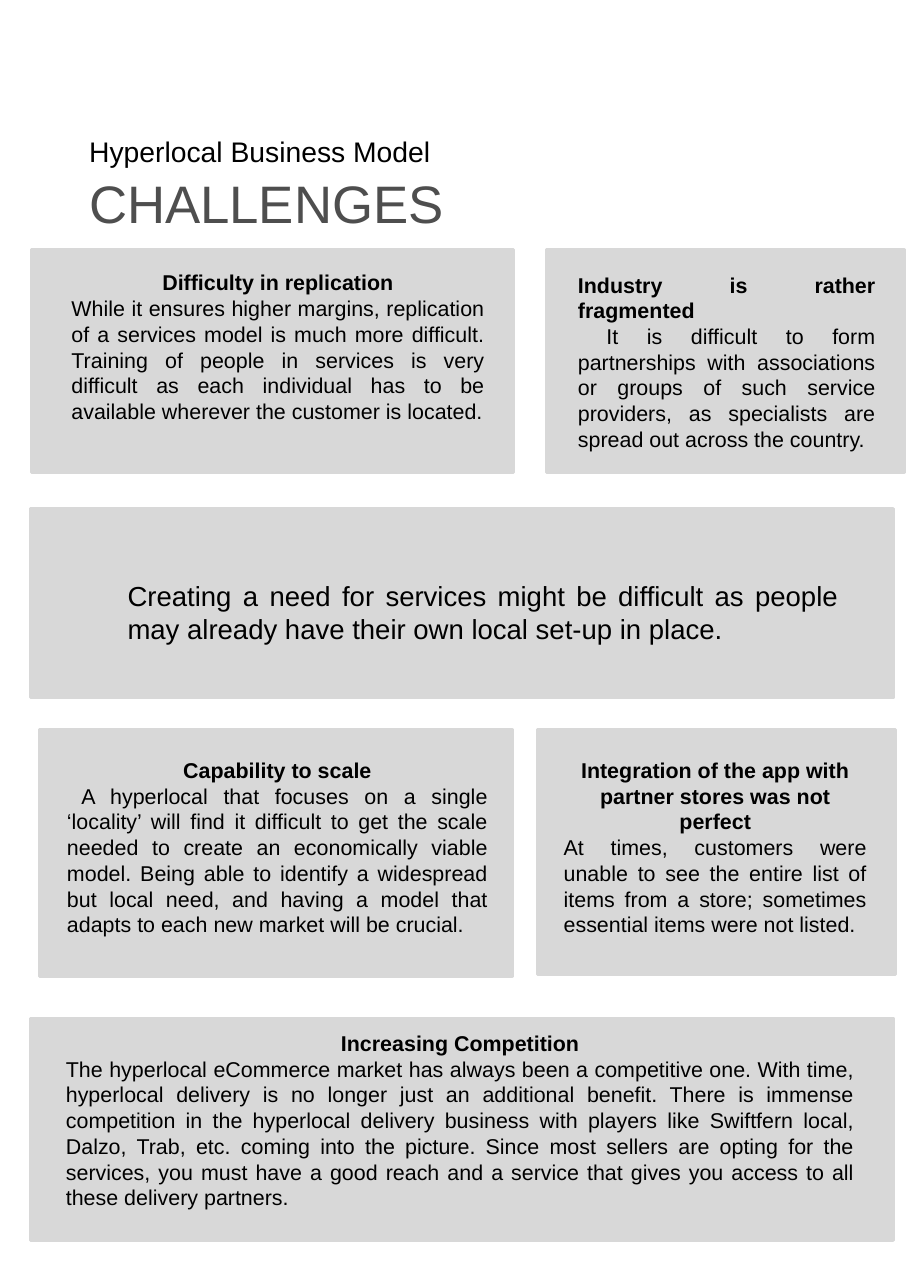
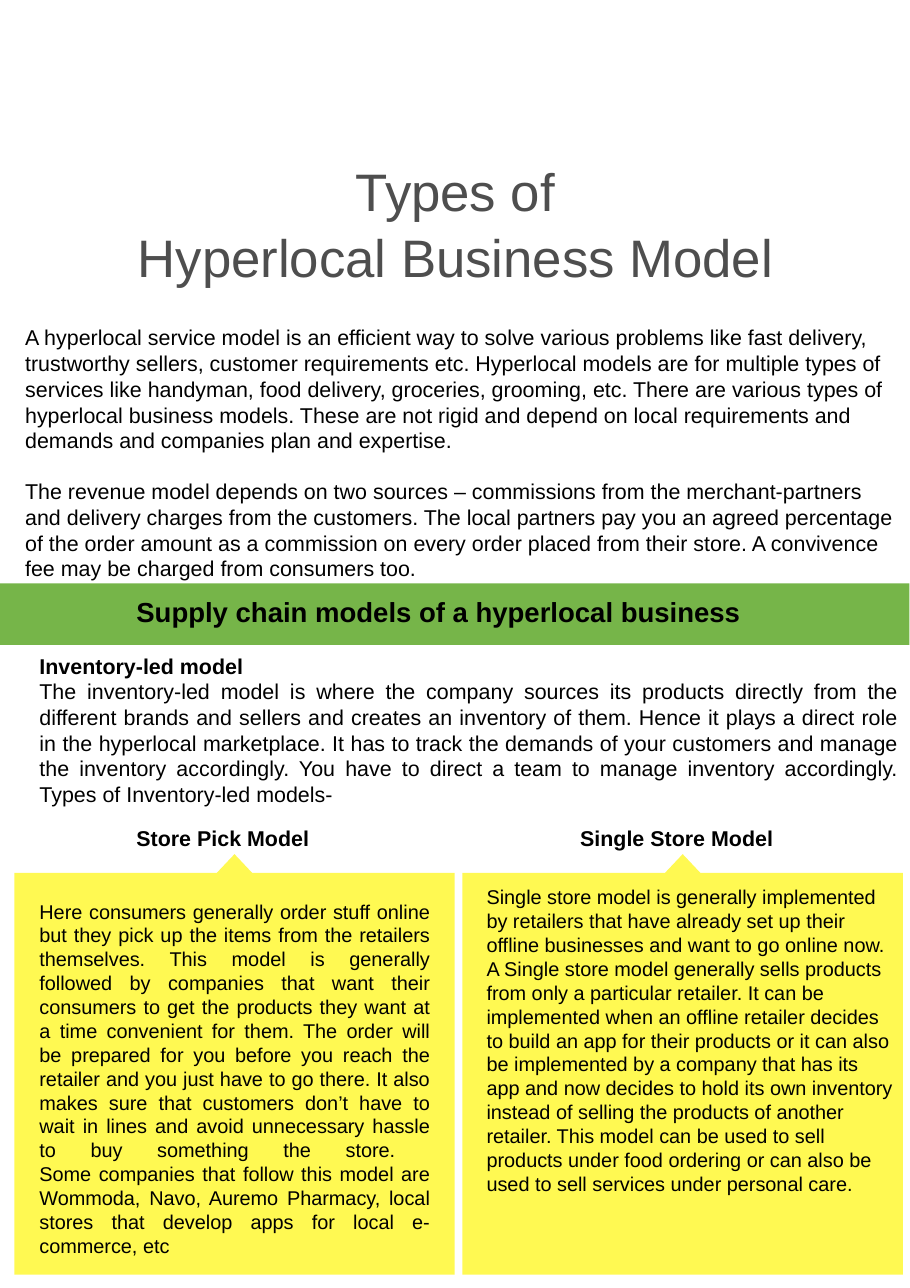
from pptx import Presentation
from pptx import util as u
from pptx.dml.color import RGBColor
from pptx.enum import shapes, text

BLACK = RGBColor(0x00, 0x00, 0x00)
TITLE_GREY = RGBColor(0x4E, 0x4E, 0x4E)
PANEL_GREY = RGBColor(0xD8, 0xD8, 0xD8)
GREEN = RGBColor(0x76, 0xB5, 0x49)
YELLOW = RGBColor(0xFF, 0xF9, 0x52)

LEFT, CENTER, JUSTIFY = (text.PP_ALIGN.LEFT, text.PP_ALIGN.CENTER,
                         text.PP_ALIGN.JUSTIFY)

# Text styles
BODY = dict(name="Arial", size=u.Pt(14), bold=False)
HEADING = dict(BODY, bold=True)
SMALL = dict(BODY, size=u.Pt(13))
STATEMENT = dict(BODY, size=u.Pt(18))
BAND = dict(STATEMENT, bold=True)
SUBTITLE = dict(BODY, size=u.Pt(18.5))
TITLE = dict(BODY, size=u.Pt(34.5))

PAGE_WIDTH, PAGE_HEIGHT = u.Pt(595), u.Pt(842.5)
BODY_INSETS = (0.1, 0.05, 0.1, 0.05)
TITLE_INSETS = (0.01, 0.02, 0, 0)
CARD_INDENT = 0.5

# Panel box, text box, heading alignment, heading, body
CARDS = [
    ((0.29, 2.27, 4.37, 2.02), (0.05, 2.4, 4.45, 1.51), CENTER,
     "Difficulty in replication",
     "While it ensures higher margins, replication of a services model is much "
     "more difficult. Training of people in services is very difficult as each "
     "individual has to be available wherever the customer is located."),
    ((4.96, 2.27, 3.25, 2.02), (4.65, 2.42, 3.4, 1.51), JUSTIFY,
     "Industry is rather fragmented",
     " It is difficult to form partnerships with associations or groups of such "
     "service providers, as specialists are spread out across the country."),
    ((0.36, 6.63, 4.29, 2.24), (0.01, 6.83, 4.52, 1.75), CENTER,
     "Capability to scale",
     " A hyperlocal that focuses on a single ‘locality’ will find it difficult "
     "to get the scale needed to create an economically viable model. Being able "
     "to identify a widespread but local need, and having a model that adapts to "
     "each new market will be crucial."),
    ((4.88, 6.63, 3.25, 2.22), (4.52, 6.83, 3.45, 1.75), CENTER,
     "Integration of the app with partner stores was not perfect",
     "At times, customers were unable to see the entire list of items from a "
     "store; sometimes essential items were not listed."),
    ((0.28, 9.25, 7.83, 2.02), (0, 9.31, 7.86, 1.75), CENTER,
     "Increasing Competition",
     "The hyperlocal eCommerce market has always been a competitive one. With "
     "time, hyperlocal delivery is no longer just an additional benefit. There "
     "is immense competition in the hyperlocal delivery business with players "
     "like Swiftfern local, Dalzo, Trab, etc. coming into the picture. Since most "
     "sellers are opting for the services, you must have a good reach and a "
     "service that gives you access to all these delivery partners."),
]

INTRO = [
    "A hyperlocal service model is an efficient way to solve various problems "
    "like fast delivery, trustworthy sellers, customer requirements etc. "
    "Hyperlocal models are for multiple types of services like handyman, food "
    "delivery, groceries, grooming, etc. There are various types of hyperlocal "
    "business models. These are not rigid and depend on local requirements and "
    "demands and companies plan and expertise.",
    "The revenue model depends on two sources – commissions from the "
    "merchant-partners and delivery charges from the customers. The local "
    "partners pay you an agreed percentage of the order amount as a commission "
    "on every order placed from their store. A convivence fee may be charged "
    "from consumers too.",
]

INVENTORY = (
    "The inventory-led model is where the company sources its products directly "
    "from the different brands and sellers and creates an inventory of them. "
    "Hence it plays a direct role in the hyperlocal marketplace. It has to track "
    "the demands of your customers and manage the inventory accordingly. You "
    "have to direct a team to manage inventory accordingly. Types of "
    "Inventory-led models-")

# Callout left, label left, label, text box, alignment, body
MODELS = [
    (0.13, 1.14, "Store Pick Model", (0.26, 8.12, 3.74, 3.4), JUSTIFY,
     "Here consumers generally order stuff online but they pick up the items "
     "from the retailers themselves. This model is generally followed by "
     "companies that want their consumers to get the products they want at a "
     "time convenient for them. The order will be prepared for you before you "
     "reach the retailer and you just have to go there. It also makes sure that "
     "customers don’t have to wait in lines and avoid unnecessary hassle to buy "
     "something the store. \vSome companies that follow this model are Wommoda, "
     "Navo, Auremo Pharmacy, local stores that develop apps for local "
     "e-commerce, etc"),
    (4.2, 5.17, "Single Store Model", (4.32, 7.99, 3.91, 3.2), LEFT,
     "Single store model is generally implemented by retailers that have already "
     "set up their offline businesses and want to go online now. A Single store "
     "model generally sells products from only a particular retailer. It can be "
     "implemented when an offline retailer decides to build an app for their "
     "products or it can also be implemented by a company that has its app and "
     "now decides to hold its own inventory instead of selling the products of "
     "another retailer. This model can be used to sell products under food "
     "ordering or can also be used to sell services under personal care."),
]


def inches(box):
    return [u.Inches(v) for v in box]


def paint(sp, color, line_width=0):
    sp.shadow.inherit = False
    sp.fill.solid()
    sp.fill.fore_color.rgb = color
    if line_width:
        sp.line.color.rgb = color
        sp.line.width = u.Pt(line_width)
    else:
        sp.line.fill.background()


def add_panel(s, box, color, line_width=0):
    sp = s.shapes.add_shape(shapes.MSO_SHAPE.RECTANGLE, *inches(box))
    paint(sp, color, line_width)


def add_text(s, box, paras, color=BLACK, insets=BODY_INSETS, spacing=1.0,
             indent=0, gap=0):
    """Each paragraph is (words, alignment, style)."""
    tf = s.shapes.add_textbox(*inches(box)).text_frame
    tf.word_wrap = True
    for side, value in zip(("left", "top", "right", "bottom"), inches(insets)):
        setattr(tf, f"margin_{side}", value)
    for i, (words, align, style) in enumerate(paras):
        p = tf.paragraphs[0] if i == 0 else tf.add_paragraph()
        p.alignment, p.line_spacing = align, spacing
        p.space_before = u.Pt(gap if i else 0)
        if indent:
            p._p.get_or_add_pPr().set("marL", str(u.Inches(indent)))
        for j, part in enumerate(words.split("\v")):
            if j:
                p.add_line_break()
            r = p.add_run()
            r.text = part
            for key, value in style.items():
                setattr(r.font, key, value)
            r.font.color.rgb = color


def add_title(s, box, words, align, spacing=1.0):
    add_text(s, box, [(words, align, TITLE)], TITLE_GREY, TITLE_INSETS, spacing)


def add_callout(s, left):
    """Box with a small pointer at the middle of its top edge."""
    tip, top, bottom, width, half = 7.76, 7.93, 11.58, 4, 0.16
    mid, right = left + width / 2, left + width
    points = [(mid + half, top), (right, top), (right, bottom),
              (left, bottom), (left, top), (mid - half, top)]
    fb = s.shapes.build_freeform(u.Inches(mid), u.Inches(tip))
    fb.add_line_segments([inches(pt) for pt in points], close=True)
    paint(fb.convert_to_shape(), YELLOW)


def challenges(s):
    add_text(s, (0.8, 1.2, 5, 0.33),
             [("Hyperlocal Business Model", LEFT, SUBTITLE)],
             insets=TITLE_INSETS)
    add_title(s, (0.8, 1.53, 5.96, 0.6), "CHALLENGES", LEFT)
    for panel, box, align, heading, body in CARDS:
        add_panel(s, panel, PANEL_GREY, 2)
        add_text(s, box, [(heading, align, HEADING), (body, JUSTIFY, BODY)],
                 indent=CARD_INDENT)
    # Wide statement
    add_panel(s, (0.28, 4.62, 7.83, 1.72), PANEL_GREY, 2)
    add_text(s, (0.56, 5.21, 7.15, 0.71),
             [("Creating a need for services might be difficult as people may "
               "already have their own local set-up in place.",
               JUSTIFY, STATEMENT)], indent=CARD_INDENT)


def model_types(s):
    add_title(s, (0, 1.41, 8.26, 1.18),
              "Types of\v Hyperlocal Business Model ", CENTER, 1.03)
    add_text(s, (0.13, 2.9, 8.13, 2.46), [(t, LEFT, BODY) for t in INTRO],
             gap=16.5)
    # Green band
    add_panel(s, (0, 5.3, 8.26, 0.56), GREEN)
    add_text(s, (1.14, 5.36, 5.98, 0.4),
             [("Supply chain models of a hyperlocal business", LEFT, BAND)])
    add_text(s, (0.26, 5.88, 8, 1.51),
             [("Inventory-led model", JUSTIFY, HEADING),
              (INVENTORY, JUSTIFY, BODY)])
    # Two models with callouts
    for left, label_left, label, box, align, body in MODELS:
        add_text(s, (label_left, 7.45, 2.4, 0.34), [(label, LEFT, HEADING)])
        add_callout(s, left)
        add_text(s, box, [(body, align, SMALL)])


def main():
    prs = Presentation()
    prs.slide_width, prs.slide_height = PAGE_WIDTH, PAGE_HEIGHT
    for build in (challenges, model_types):
        build(prs.slides.add_slide(prs.slide_layouts[6]))
    prs.save("out.pptx")


if __name__ == "__main__":
    main()
